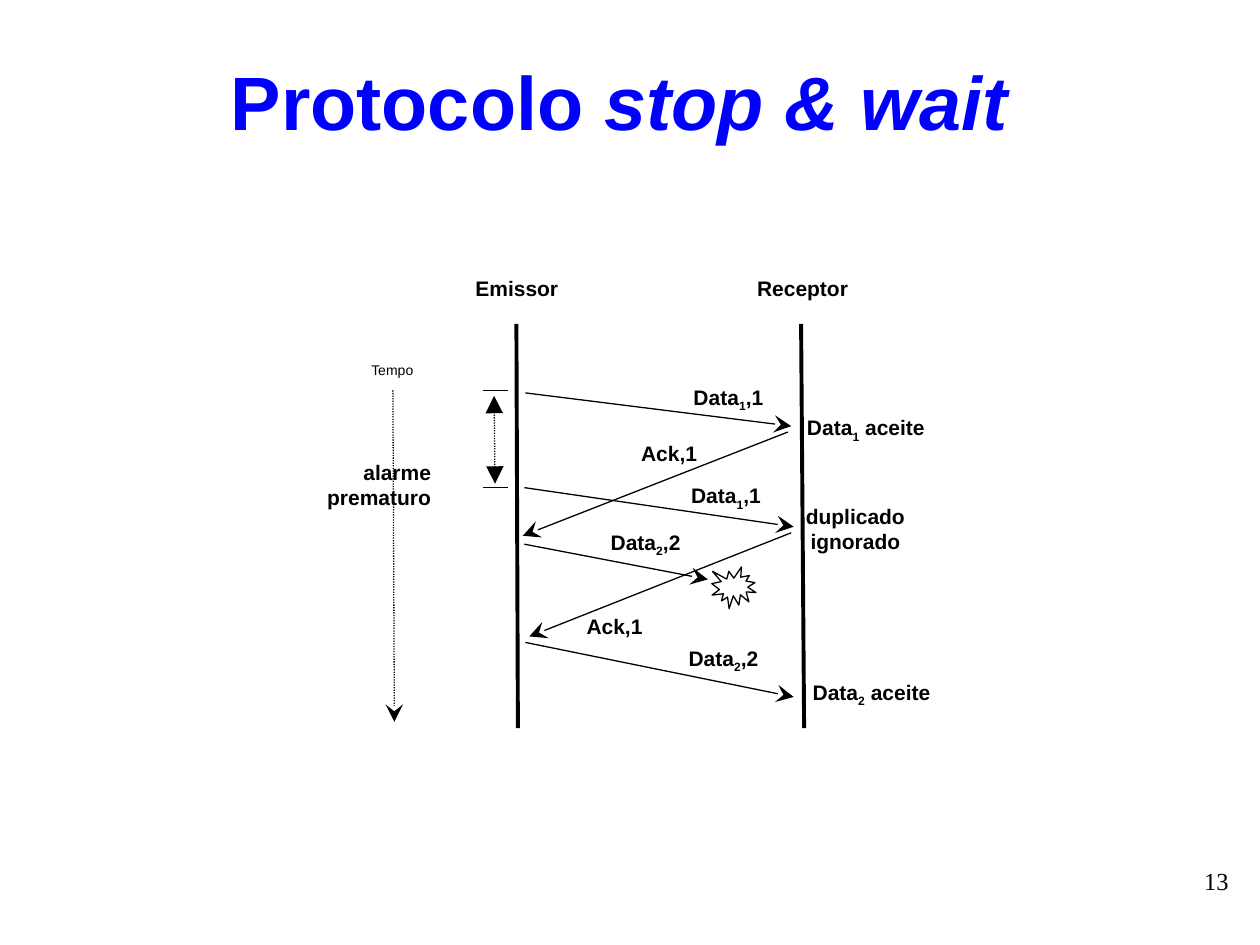
from dataclasses import dataclass

from lxml import etree
from pptx import Presentation
from pptx.dml.color import RGBColor
from pptx.enum import dml, shapes, text
from pptx.oxml import ns
from pptx.util import Cm, Pt

BLACK = RGBColor(0x00, 0x00, 0x00)
BLUE = RGBColor(0x00, 0x00, 0xFF)
ROW_HEIGHT = 0.69


@dataclass
class Label:
    content: str
    left: float
    top: float
    width: float
    height: float = ROW_HEIGHT
    size: float = 12
    bold: bool = True
    alignment: text.PP_ALIGN = text.PP_ALIGN.CENTER
    font: str = "Arial"
    anchor: text.MSO_ANCHOR = text.MSO_ANCHOR.MIDDLE
    margin: float = 0.25


@dataclass
class Line:
    start: tuple[float, float]
    end: tuple[float, float]
    weight: float = 0.75
    dotted: bool = False
    head: str = ""
    tail: str = ""


HEADINGS = [Label("Emissor", 8.59, 5.08, 3.66, 1.45),
            Label("Receptor", 14.35, 5.08, 3.66, 1.45)]
TIME_LABELS = [
    Label("Tempo", 6.83, 7.04, 2.16, 0.84, size=8, bold=False),
    Label("alarme prematuro", 6.15, 9.22, 2.79, 1.09,
          alignment=text.PP_ALIGN.RIGHT),
]
MESSAGE_LABELS = [
    Label("Data_1_,1", 13.49, 7.7, 2.39),
    Label("Ack,1", 12.5, 8.79, 1.98),
    Label("Data_1_,1", 13.49, 9.68, 2.29),
    Label("Data_2_,2", 11.76, 10.62, 2.51),
    Label("Ack,1", 11.4, 12.27, 1.98),
    Label("Data_2_,2", 13.39, 12.95, 2.39),
]
RECEIVER_LABELS = [
    Label("Data_1_ aceite", 15.88, 8.31, 3.15),
    Label("duplicado\nignorado", 15.85, 10.31, 2.79),
    Label("Data_2_ aceite", 15.88, 13.64, 3.38),
]
PAGE_NUMBER = Label("13", 19.1, 17.32, 5.92, 1.32, size=14, bold=False,
                    alignment=text.PP_ALIGN.RIGHT, font="Times New Roman",
                    anchor=text.MSO_ANCHOR.TOP, margin=0.13)
LIFELINES = [Line((10.41, 6.53), (10.44, 14.68), weight=2.25),
             Line((16.15, 6.53), (16.21, 14.68), weight=2.25)]
TIMER = [
    Line((7.92, 7.87), (7.95, 14.55), dotted=True, tail="stealth"),
    Line((9.96, 7.98), (9.98, 9.75), dotted=True,
         head="triangle", tail="triangle"),
    Line((9.73, 7.87), (10.24, 7.87)),
    Line((9.73, 9.83), (10.24, 9.83)),
]
MESSAGES = [Line(start, end, tail="stealth") for start, end in (
    ((10.59, 7.92), (15.95, 8.59)),
    ((15.88, 8.71), (10.54, 10.8)),
    ((10.57, 9.83), (16, 10.62)),
    ((10.57, 10.97), (14.27, 11.68)),
    ((15.95, 10.74), (10.67, 12.83)),
    ((10.59, 12.95), (16, 14.05)),
)]


def draw_line(slide, line: Line) -> None:
    connector = slide.shapes.add_connector(
        shapes.MSO_CONNECTOR.STRAIGHT,
        *(Cm(value) for value in line.start + line.end))
    connector.line.color.rgb = BLACK
    connector.line.width = Pt(line.weight)
    if line.dotted:
        connector.line.dash_style = dml.MSO_LINE.ROUND_DOT
    properties = connector._element.spPr
    outline = properties.find(ns.qn("a:ln"))
    for tag, kind in (("a:headEnd", line.head), ("a:tailEnd", line.tail)):
        if kind:
            etree.SubElement(outline, ns.qn(tag), type=kind, w="lg", len="lg")
    etree.SubElement(properties, ns.qn("a:effectLst"))


def draw_label(slide, label: Label) -> None:
    shape = slide.shapes.add_textbox(Cm(label.left), Cm(label.top),
                                     Cm(label.width), Cm(label.height))
    frame = shape.text_frame
    frame.word_wrap = True
    frame.vertical_anchor = label.anchor
    frame.margin_left = frame.margin_right = Cm(0.25)
    frame.margin_top = frame.margin_bottom = Cm(label.margin)
    frame.text = label.content.replace("_", "")
    for paragraph, content in zip(frame.paragraphs, label.content.split("\n")):
        paragraph.alignment = label.alignment
        parts = content.split("_")
        paragraph.runs[0].text = parts[0]
        for part in parts[1:]:
            paragraph.add_run().text = part
        for index, run in enumerate(paragraph.runs):
            run.font.name = label.font
            run.font.size = Pt(label.size)
            run.font.bold = label.bold
            run.font.color.rgb = BLACK
            if index % 2:
                run._r.get_or_add_rPr().set("baseline", "-25000")


def draw_title(slide) -> None:
    title = slide.shapes.title
    title.left, title.top = Cm(0.84), Cm(1.07)
    title.width, title.height = Cm(23.29), Cm(1.9)
    title.text_frame.vertical_anchor = text.MSO_ANCHOR.MIDDLE
    title.text_frame.text = "Protocolo "
    paragraph = title.text_frame.paragraphs[0]
    paragraph.alignment = text.PP_ALIGN.CENTER
    paragraph.add_run().text = "stop & wait"
    for run in paragraph.runs:
        run.font.name = "Arial"
        run.font.size = Pt(43.2)
        run.font.bold = True
        run.font.color.rgb = BLUE
    paragraph.runs[1].font.italic = True


def draw_loss(slide) -> None:
    burst = slide.shapes.add_shape(shapes.MSO_SHAPE.EXPLOSION1, Cm(14.35),
                                   Cm(11.43), Cm(0.89), Cm(0.84))
    burst.shadow.inherit = False
    burst.fill.background()
    burst.line.color.rgb = BLACK
    burst.line.width = Pt(0.75)


def main() -> None:
    presentation = Presentation()
    presentation.slide_width, presentation.slide_height = Cm(25.4), Cm(19.05)
    slide = presentation.slides.add_slide(presentation.slide_layouts[5])
    draw_title(slide)
    for line in LIFELINES + TIMER + MESSAGES:
        draw_line(slide, line)
    draw_loss(slide)
    for label in HEADINGS + TIME_LABELS + MESSAGE_LABELS + RECEIVER_LABELS:
        draw_label(slide, label)
    draw_label(slide, PAGE_NUMBER)
    presentation.save("out.pptx")


if __name__ == "__main__":
    main()
